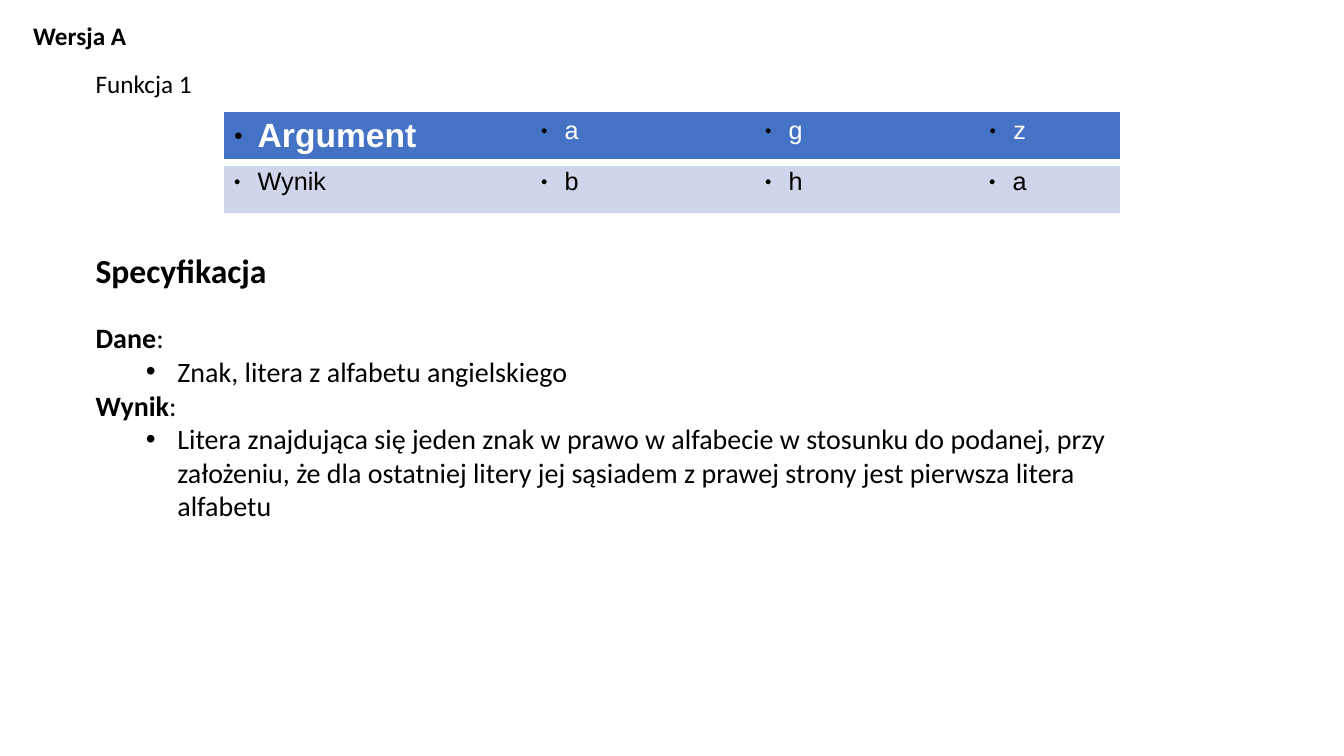
"""Build the slide with the letter table and the specification of function 1."""
from dataclasses import dataclass, field

from lxml.etree import SubElement as Sub
from pptx import Presentation
from pptx.dml.color import RGBColor as Rgb
from pptx.enum.text import MSO_ANCHOR as Anchor, MSO_AUTO_SIZE as Fit, PP_ALIGN as Align
from pptx.oxml import parse_xml
from pptx.oxml.ns import nsdecls, qn
from pptx.util import Cm, Pt


@dataclass(frozen=True)
class Theme:
    black: str = "000000"
    white: str = "FFFFFF"
    blue: str = "4472C4"
    pale: str = "CFD5EA"
    sans: str = "Calibri"
    grid: str = "Arial"
    big: int = 24
    mid: int = 20
    small: int = 18


@dataclass(frozen=True)
class Bullet:
    sign: str
    left: float
    hang: float
    scale: int = 100


@dataclass(frozen=True)
class Run:
    text: str
    size: int
    bold: bool = False
    name: str = Theme.sans
    color: str = Theme.black


@dataclass(frozen=True)
class Line:
    runs: tuple[Run, ...]
    bullet: Bullet | None = None
    form: dict = field(default_factory=dict)


@dataclass(frozen=True)
class Box:
    left: float
    top: float
    width: float
    height: float
    lines: tuple[Line, ...]
    wrap: bool = True

    def place(self) -> tuple:
        return tuple(map(Cm, (self.left, self.top, self.width, self.height)))


THEME = Theme()
DOT = Bullet("●", 0.6, 0.6, 45)
POINT = Bullet("•", 2.06, 0.79)
ROWS = (("Argument", "a", "g", "z"), ("Wynik", "b", "h", "a"))


def apply(thing, form: dict) -> None:
    for key, value in form.items():
        setattr(thing, key, value)


def mark(para, bullet: Bullet) -> None:
    props = para._p.get_or_add_pPr()
    props.set("marL", str(Cm(bullet.left)))
    props.set("indent", str(-Cm(bullet.hang)))
    Sub(Sub(props, qn("a:buClr")), qn("a:srgbClr"), val=THEME.black)
    Sub(props, qn("a:buSzPct"), val=str(bullet.scale * 1000))
    Sub(props, qn("a:buFont"), typeface=THEME.grid)
    Sub(props, qn("a:buChar"), char=bullet.sign)


def write(frame, lines: tuple[Line, ...]) -> None:
    for spot, line in enumerate(lines):
        para = frame.add_paragraph() if spot else frame.paragraphs[0]
        if line.bullet:
            mark(para, line.bullet)
        apply(para, {"alignment": Align.LEFT, "line_spacing": 1.0, "space_before": Pt(0)} | line.form)
        for part in line.runs:
            run = para.add_run()
            run.text = part.text
            apply(run.font, {"size": Pt(part.size), "bold": part.bold, "name": part.name})
            run.font.color.rgb = Rgb.from_string(part.color)


def fill_box(shape, box: Box) -> None:
    apply(shape, dict(zip(("left", "top", "width", "height"), box.place())))
    apply(shape.text_frame, {"word_wrap": box.wrap, "vertical_anchor": Anchor.TOP,
                             "auto_size": Fit.SHAPE_TO_FIT_TEXT})
    write(shape.text_frame, box.lines)


def add_grid(slide) -> None:
    frame = slide.shapes.add_table(len(ROWS), len(ROWS[0]), Cm(5.64), Cm(2.82), Cm(22.58), Cm(2.54))
    table = frame.table
    apply(table, {"first_row": False, "horz_banding": False})
    for style in frame.element.iter(qn("a:tableStyleId")):
        style.text = "{2D5ABB26-0587-4C30-8999-92F81FD0307C}"
    for row, words in enumerate(ROWS):
        head = row == 0
        for col, word in enumerate(words):
            lead = head and col == 0
            cell = table.cell(row, col)
            cell.fill.solid()
            cell.fill.fore_color.rgb = Rgb.from_string(THEME.blue if head else THEME.pale)
            run = Run(word, THEME.big if lead else THEME.small, lead, THEME.grid,
                      THEME.white if head else THEME.black)
            form = {"alignment": Align.CENTER if col else Align.LEFT}
            write(cell.text_frame, (Line((run,), DOT, form),))
            if head:
                cell._tc.get_or_add_tcPr().insert(0, parse_xml(
                    f'<a:lnB {nsdecls("a")} w="{Pt(6)}"><a:solidFill>'
                    f'<a:srgbClr val="{THEME.white}"/></a:solidFill></a:lnB>'))


def label(text: str, form: dict | None = None) -> Line:
    return Line((Run(text, THEME.mid, True), Run(":", THEME.mid)), form=form or {})


def item(text: str) -> Line:
    return Line((Run(text, THEME.mid),), POINT, {"level": 1})


TITLE = Box(0.58, 0.38, 2.87, 1.02, (Line((Run("Wersja A", THEME.small, True),)),), False)
NAME = Box(2.16, 1.6, 4.5, 1.02, (Line((Run("Funkcja 1", THEME.small),)),))
BODY = Box(2.16, 6.17, 26.06, 7.19, (
    Line((Run("Specyfikacja", THEME.big, True),)),
    label("Dane", {"space_before": Pt(22)}),
    item("Znak, litera z alfabetu angielskiego"),
    label("Wynik"),
    item("Litera znajdująca się jeden znak w prawo w alfabecie w stosunku do podanej, "
         "przy założeniu, że dla ostatniej litery jej sąsiadem z prawej strony jest "
         "pierwsza litera alfabetu"),
))


def main() -> None:
    deck = Presentation()
    apply(deck, {"slide_width": Cm(33.87), "slide_height": Cm(19.05)})
    slide = deck.slides.add_slide(deck.slide_layouts[5])
    fill_box(slide.shapes.title, TITLE)
    add_grid(slide)
    for box in (NAME, BODY):
        fill_box(slide.shapes.add_textbox(*box.place()), box)
    deck.save("out.pptx")


if __name__ == "__main__":
    main()
